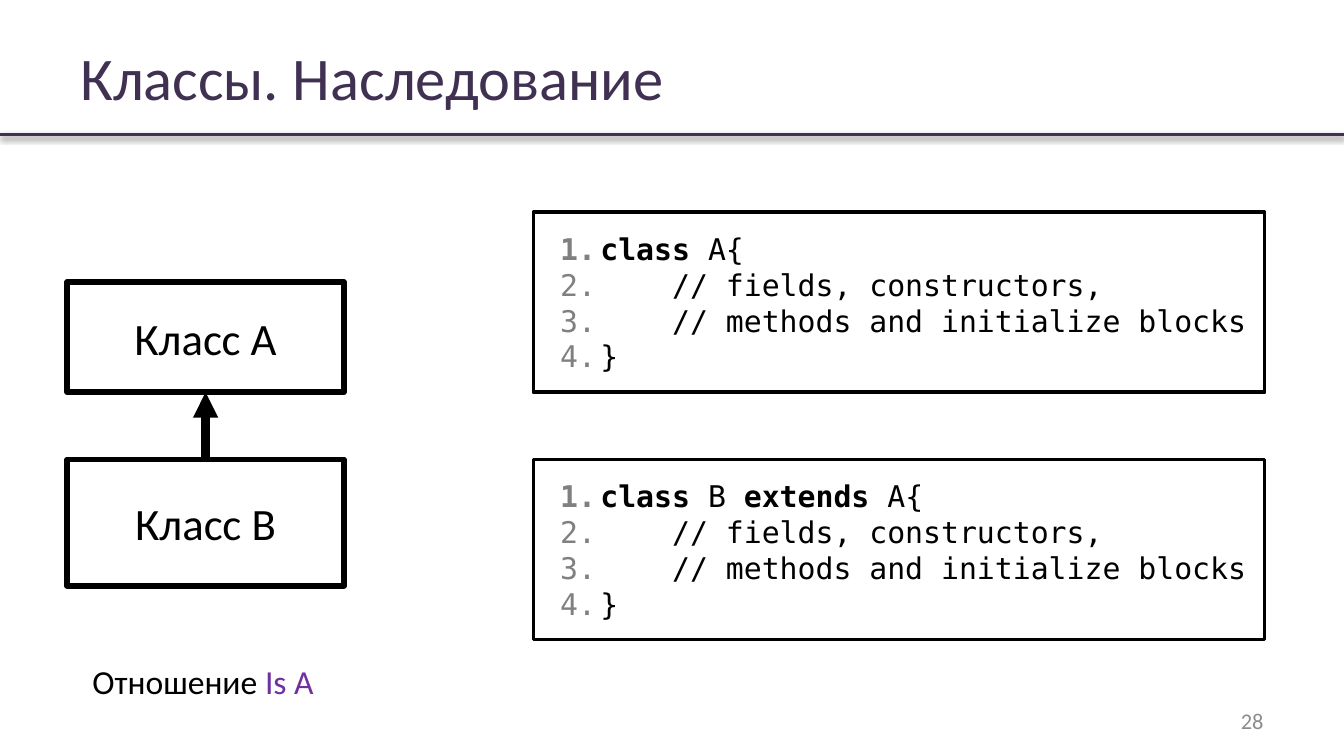
from typing import NamedTuple

import pptx
import pptx.dml.color
import pptx.enum.shapes
import pptx.enum.text
import pptx.oxml
import pptx.oxml.ns
import pptx.util
from lxml import etree

Pt = pptx.util.Pt
RGB = pptx.dml.color.RGBColor.from_string
ALIGN = pptx.enum.text.PP_ALIGN
ANCHOR = pptx.enum.text.MSO_ANCHOR
RECT = pptx.enum.shapes.MSO_SHAPE.RECTANGLE
STRAIGHT = pptx.enum.shapes.MSO_CONNECTOR.STRAIGHT

COLORS = {
    "ink": "000000",
    "paper": "FFFFFF",
    "heading": "403152",
    "accent": "7030A0",
    "line_number": "808080",
    "page_number": "8C8C8C",
}
SANS = "Calibri"
MONO = "DejaVu Sans Mono"
BOX_LEFT, BOX_WIDTH = 36, 148.3
CODE_LEFT, CODE_WIDTH, CODE_HEIGHT = 285.8, 391.7, 96.5
TOP_A, HEIGHT_A = 151.2, 59
TOP_B, HEIGHT_B = 246.2, 67.7
BOTTOM_A = TOP_A + HEIGHT_A


class Area(NamedTuple):
    left: float
    top: float
    width: float
    height: float


class Run(NamedTuple):
    text: str
    size: float
    color: str = "ink"
    name: str = SANS
    bold: bool = False


class Box(NamedTuple):
    area: Area
    run: Run


class Code(NamedTuple):
    area: Area
    header: list[tuple[str, bool]]


CODE_BODY = [
    [("    // fields, constructors,", False)],
    [("    // methods and initialize blocks", False)],
    [("}", False)],
]
BOXES = [
    Box(Area(BOX_LEFT, TOP_A, BOX_WIDTH, HEIGHT_A), Run("Класс A", 24)),
    Box(Area(BOX_LEFT, TOP_B, BOX_WIDTH, HEIGHT_B), Run("Класс B", 24)),
]
CODES = [
    Code(Area(CODE_LEFT, BOTTOM_A - CODE_HEIGHT, CODE_WIDTH, CODE_HEIGHT),
         [("class ", True), ("A{", False)]),
    Code(Area(CODE_LEFT, TOP_B, CODE_WIDTH, CODE_HEIGHT),
         [("class ", True), ("B ", False), ("extends", True), (" A{", False)]),
]


def apply(target, values: dict) -> None:
    for key, value in values.items():
        setattr(target, key, value)


def add_run(p, run: Run) -> None:
    r = p.add_run()
    r.text = run.text
    apply(r.font, {"size": Pt(run.size), "name": run.name, "bold": run.bold})
    r.font.color.rgb = RGB(COLORS[run.color])


def add_text(s, area: Area, runs: list[Run], align=ALIGN.LEFT,
             anchor=ANCHOR.MIDDLE, wrap: bool = True) -> None:
    tf = s.shapes.add_textbox(*map(Pt, area)).text_frame
    apply(tf, {"word_wrap": wrap, "vertical_anchor": anchor})
    p = tf.paragraphs[0]
    p.alignment = align
    for run in runs:
        add_run(p, run)


def add_rect(s, area: Area, weight: float):
    sp = s.shapes.add_shape(RECT, *map(Pt, area))
    sp.shadow.inherit = False
    sp.line.color.rgb = RGB(COLORS["ink"])
    sp.line.width = Pt(weight)
    apply(sp.text_frame, {"word_wrap": True, "vertical_anchor": ANCHOR.MIDDLE})
    return sp


def add_box(s, box: Box) -> None:
    sp = add_rect(s, box.area, 3)
    sp.fill.solid()
    sp.fill.fore_color.rgb = RGB(COLORS["paper"])
    p = sp.text_frame.paragraphs[0]
    p.alignment = ALIGN.CENTER
    add_run(p, box.run)


def number_line(p) -> None:
    pPr = p._p.get_or_add_pPr()
    pPr.set("marL", str(Pt(28.8)))
    pPr.set("indent", str(Pt(-21.6)))
    qn = pptx.oxml.ns.qn
    color = etree.SubElement(pPr, qn("a:buClr"))
    etree.SubElement(color, qn("a:srgbClr"), val=COLORS["line_number"])
    etree.SubElement(pPr, qn("a:buFont"), typeface=MONO)
    etree.SubElement(pPr, qn("a:buAutoNum"), type="arabicPeriod")


def add_code(s, code: Code) -> None:
    sp = add_rect(s, code.area, 2)
    sp.fill.background()
    tf = sp.text_frame
    for i, line in enumerate([code.header, *CODE_BODY]):
        p = tf.add_paragraph() if i else tf.paragraphs[0]
        p.alignment = ALIGN.LEFT
        number_line(p)
        for text, bold in line:
            add_run(p, Run(text, 16, name=MONO, bold=bold))


def add_line(s, start: tuple[float, float], end: tuple[float, float],
             color: str, weight: float, arrow: bool = False,
             shadow: bool = False) -> None:
    c = s.shapes.add_connector(STRAIGHT, *map(Pt, start + end))
    c.line.color.rgb = RGB(COLORS[color])
    c.line.width = Pt(weight)
    qn = pptx.oxml.ns.qn
    if arrow:
        etree.SubElement(c.line._get_or_add_ln(), qn("a:tailEnd"), type="triangle")
    effects = etree.SubElement(c._element.spPr, qn("a:effectLst"))
    if shadow:
        outer = etree.SubElement(effects, qn("a:outerShdw"), blurRad=str(Pt(3.1)),
                                 dist=str(Pt(1.6)), dir="5400000", rotWithShape="0")
        tint = etree.SubElement(outer, qn("a:srgbClr"), val=COLORS["ink"])
        etree.SubElement(tint, qn("a:alpha"), val="38000")


def main() -> None:
    prs = pptx.Presentation()
    apply(prs, {"slide_width": Pt(720), "slide_height": Pt(405)})
    s = prs.slides.add_slide(prs.slide_layouts[6])
    add_line(s, (0, 72), (720, 72), "heading", 2, shadow=True)
    add_text(s, Area(36, 16.6, 648, 48.2),
             [Run("Классы. Наследование", 32.4, "heading")])
    add_text(s, Area(516.2, 375.1, 167.8, 21.6),
             [Run("28", 12, "page_number")], ALIGN.RIGHT)
    for box in BOXES:
        add_box(s, box)
    center = BOX_LEFT + BOX_WIDTH / 2
    add_line(s, (center, TOP_B), (center, BOTTOM_A), "ink", 4.5, arrow=True)
    for code in CODES:
        add_code(s, code)
    add_text(s, Area(42.5, 350.6, 134.6, 28.8),
             [Run("Отношение ", 18), Run("Is A", 18, "accent")],
             anchor=ANCHOR.TOP, wrap=False)
    prs.save("out.pptx")


if __name__ == "__main__":
    main()
